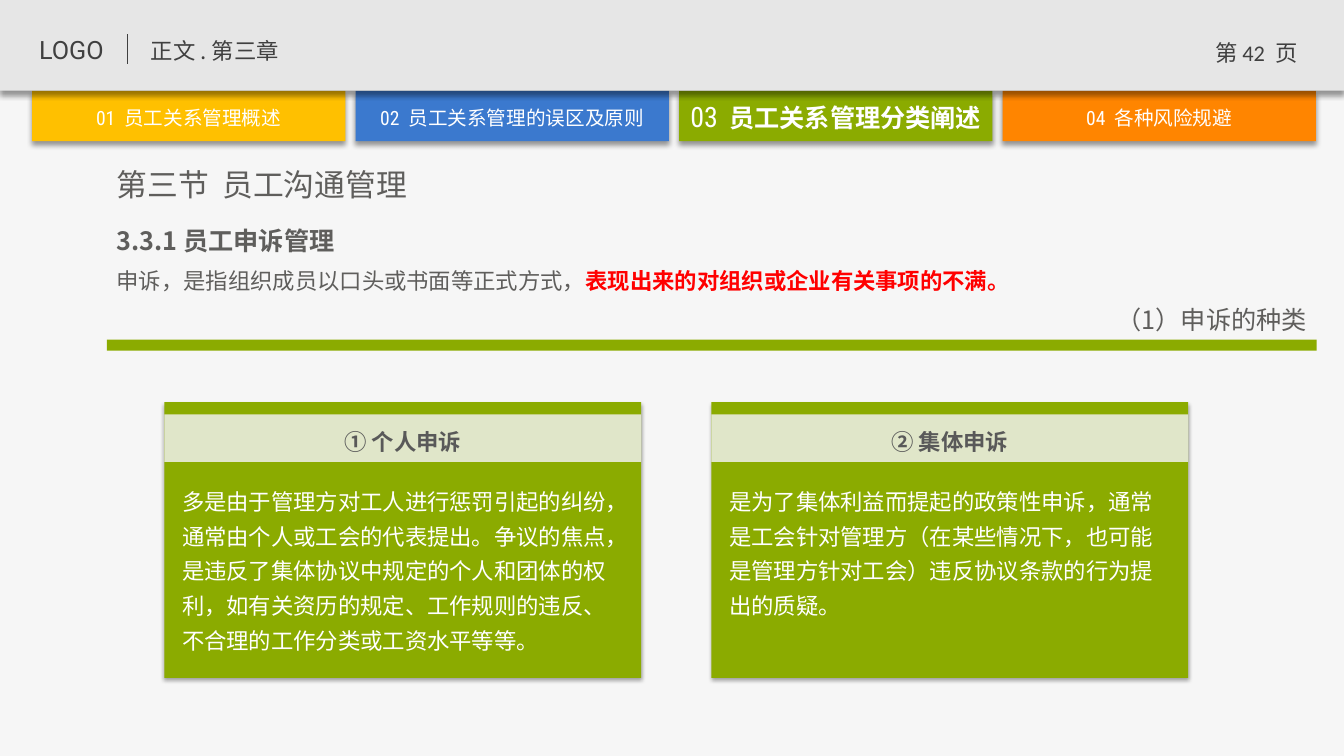
from dataclasses import dataclass
from typing import NamedTuple

from lxml.etree import SubElement
from pptx import Presentation
from pptx.dml.color import RGBColor
from pptx.enum.shapes import MSO_CONNECTOR, MSO_SHAPE
from pptx.enum.text import MSO_ANCHOR, PP_ALIGN
from pptx.oxml.ns import qn
from pptx.util import Pt


@dataclass(frozen=True)
class Theme:
    """Colours, fonts and type sizes of the slide."""
    canvas: str = "F6F6F6"
    header: str = "E6E6E6"
    dark: str = "404040"
    body: str = "5F5E5C"
    heading: str = "595959"
    white: str = "FFFFFF"
    band: str = "F2F2F2"
    red: str = "FF0000"
    yellow: str = "FFC000"
    blue: str = "3B79CE"
    green: str = "8BAB00"
    orange: str = "FF8500"
    chinese: str = "Noto Sans CJK SC"
    logo: str = "Roboto"
    digits: str = "Roboto Condensed"
    number: str = "Calibri"
    tab: int = 14
    normal: int = 16
    large: int = 18
    active: int = 20
    title: int = 22


class Span(NamedTuple):
    """A piece of text in one style; a gap is a space of double width."""
    text: str
    size: int
    color: str
    font: str = Theme.chinese
    bold: bool = False
    gap: bool = False


class SlideBuilder:
    """Draws styled elements on the current slide."""

    def __init__(self, page, theme):
        """Take the page and paint its background."""
        self.theme = theme
        self.page = page
        self.shapes = page.shapes
        page.background.fill.solid()
        page.background.fill.fore_color.rgb = RGBColor.from_string(theme.canvas)

    def start_group(self):
        """Send the following elements to a new group."""
        self.shapes = self.page.shapes.add_group_shape().shapes

    def bar(self, left, top, width, height, color, shadow=None, opacity=None):
        """Add a rectangle; shadow is opacity, blur and distance."""
        box = self.shapes.add_shape(
            MSO_SHAPE.RECTANGLE, Pt(left), Pt(top), Pt(width), Pt(height))
        box.fill.solid()
        box.fill.fore_color.rgb = RGBColor.from_string(color)
        box.line.fill.background()
        box.shadow.inherit = False
        properties = box.element.spPr
        if opacity:
            paint = properties.find(qn("a:solidFill"))[0]
            SubElement(paint, qn("a:alpha"), val=str(opacity * 1000))
        if shadow:
            strength, blur, distance = shadow
            effect = SubElement(
                properties.find(qn("a:effectLst")), qn("a:outerShdw"),
                blurRad=str(Pt(blur)), dist=str(Pt(distance)), dir="5400000",
                algn="t", rotWithShape="0")
            paint = SubElement(effect, qn("a:srgbClr"), val="000000")
            SubElement(paint, qn("a:alpha"), val=str(strength * 1000))

    def divider(self, left, top, bottom, color):
        """Add a thin vertical line."""
        line = self.shapes.add_connector(
            MSO_CONNECTOR.STRAIGHT, Pt(left), Pt(top), Pt(left), Pt(bottom))
        line.line.color.rgb = RGBColor.from_string(color)
        line.line.width = Pt(0.75)
        SubElement(line.element.spPr, qn("a:effectLst"))

    def text(self, left, top, width, height, spans, align=PP_ALIGN.LEFT,
             spacing=None, after=None, tight=False):
        """Add a one-paragraph text box; a tight one has no margins."""
        box = self.shapes.add_textbox(Pt(left), Pt(top), Pt(width), Pt(height))
        frame = box.text_frame
        frame.word_wrap = True
        if tight:
            frame.vertical_anchor = MSO_ANCHOR.MIDDLE
            frame.margin_left = frame.margin_right = 0
            frame.margin_top = frame.margin_bottom = 0
        para = frame.paragraphs[0]
        para.alignment = align
        para.line_spacing = spacing
        if after:
            para.space_after = Pt(after)
        for span in spans:
            self.span(para, span)

    def span(self, para, span):
        """Add one styled run to a paragraph."""
        run = para.add_run()
        run.text = span.text
        run.font.size = Pt(span.size)
        run.font.bold = span.bold
        run.font.name = span.font
        run.font.color.rgb = RGBColor.from_string(span.color)
        properties = run.font._element
        SubElement(properties, qn("a:ea"), typeface=span.font)
        if span.gap:
            properties.set("spc", str(span.size * 22))

    def tab_label(self, left, width, number, label, active):
        """Add the number and name of a chapter tab."""
        theme = self.theme
        top, height, digit_size, size = (
            (70.6, 24.5, theme.active, theme.large) if active
            else (75.6, 17.3, theme.tab, theme.tab))
        self.text(left, top, width, height, [
            Span(number, digit_size, theme.white, theme.digits),
            Span(" ", size, theme.white, theme.digits, gap=True),
            Span(label, size, theme.white, bold=active),
        ], PP_ALIGN.CENTER, tight=True)

    def card(self, left, heading, body):
        """Add a grouped card with a heading band and body text."""
        theme = self.theme
        self.start_group()
        self.bar(left, 287.2, 340.8, 197, theme.green, shadow=(35, 3.1, 1.8))
        self.bar(left, 295.9, 340.8, 34, theme.band, opacity=83)
        self.text(left, 296.6, 340.8, 32.4,
                  [Span(heading, theme.normal, theme.heading, bold=True)],
                  PP_ALIGN.CENTER, spacing=1.3)
        self.text(left + 5.6, 339.1, 329.8, 133.2,
                  [Span(body, theme.normal, theme.white)], spacing=1.3)


TABS = [
    ("01", "员工关系管理概述", Theme.yellow),
    ("02", "员工关系管理的误区及原则", Theme.blue),
    ("03", "员工关系管理分类阐述", Theme.green),
    ("04", "各种风险规避", Theme.orange),
]
CARDS = [
    ("① 个人申诉",
     "多是由于管理方对工人进行惩罚引起的纠纷，通常由个人或工会的代表提出。"
     "争议的焦点，是违反了集体协议中规定的个人和团体的权利，"
     "如有关资历的规定、工作规则的违反、不合理的工作分类或工资水平等等。"),
    ("② 集体申诉",
     "是为了集体利益而提起的政策性申诉，通常是工会针对管理方"
     "（在某些情况下，也可能是管理方针对工会）违反协议条款的行为提出的质疑。"),
]


def main():
    """Build the slide and save it."""
    theme = Theme()
    deck = Presentation()
    deck.slide_width, deck.slide_height = Pt(960.5), Pt(540)
    builder = SlideBuilder(deck.slides.add_slide(deck.slide_layouts[6]), theme)

    tab_left, tab_step, tab_width = 22.9, 231.2, 224
    tab_shadow = (40, 4, 3)
    for index, (number, label, color) in enumerate(TABS):
        builder.bar(tab_left + index * tab_step, 64.8, tab_width, 36, color, tab_shadow)
    builder.bar(0, 0, 960.5, 64.8, theme.header, tab_shadow)
    for index, (number, label, color) in enumerate(TABS):
        builder.tab_label(tab_left + index * tab_step, tab_width, number, label,
                          active=number == "03")

    builder.text(20.9, 20.9, 70.6, 28.8,
                 [Span("LOGO", theme.large, theme.dark, theme.logo)])
    builder.divider(91.4, 24.5, 45.4, theme.dark)
    builder.text(100.8, 23, 235.4, 26.6,
                 [Span("正文 . 第三章", theme.normal, theme.dark)])
    builder.text(854.6, 24.5, 86.4, 28.8, [
        Span("第 ", theme.normal, theme.dark),
        Span("42", theme.normal, theme.dark, theme.number),
        Span(" ", theme.normal, theme.dark, theme.number, gap=True),
        Span("页", theme.normal, theme.dark),
    ], PP_ALIGN.CENTER)

    builder.text(76.3, 114.5, 391.7, 33.8, [
        Span("第三节", theme.title, theme.body),
        Span(" ", theme.title, theme.body, gap=True),
        Span("员工沟通管理", theme.title, theme.body),
    ])
    builder.text(76.3, 151.2, 415.4, 35.3,
                 [Span("3.3.1 员工申诉管理", theme.large, theme.body, bold=True)], spacing=1.3)
    builder.text(76.3, 181.4, 864.7, 30.2, [
        Span("申诉，是指组织成员以口头或书面等正式方式，", theme.normal, theme.body),
        Span("表现出来的对组织或企业有关事项的不满。", theme.normal, theme.red, bold=True),
    ], spacing=1.3, after=6)
    builder.text(769.7, 207.4, 171.3, 35.3,
                 [Span("（1）申诉的种类", theme.large, theme.body)],
                 PP_ALIGN.RIGHT, spacing=1.3)
    builder.bar(76.3, 242.6, 864.7, 7.9, theme.green)

    for index, (heading, body) in enumerate(CARDS):
        builder.card(117.4 + index * 391, heading, body)
    deck.save("out.pptx")


if __name__ == "__main__":
    main()
